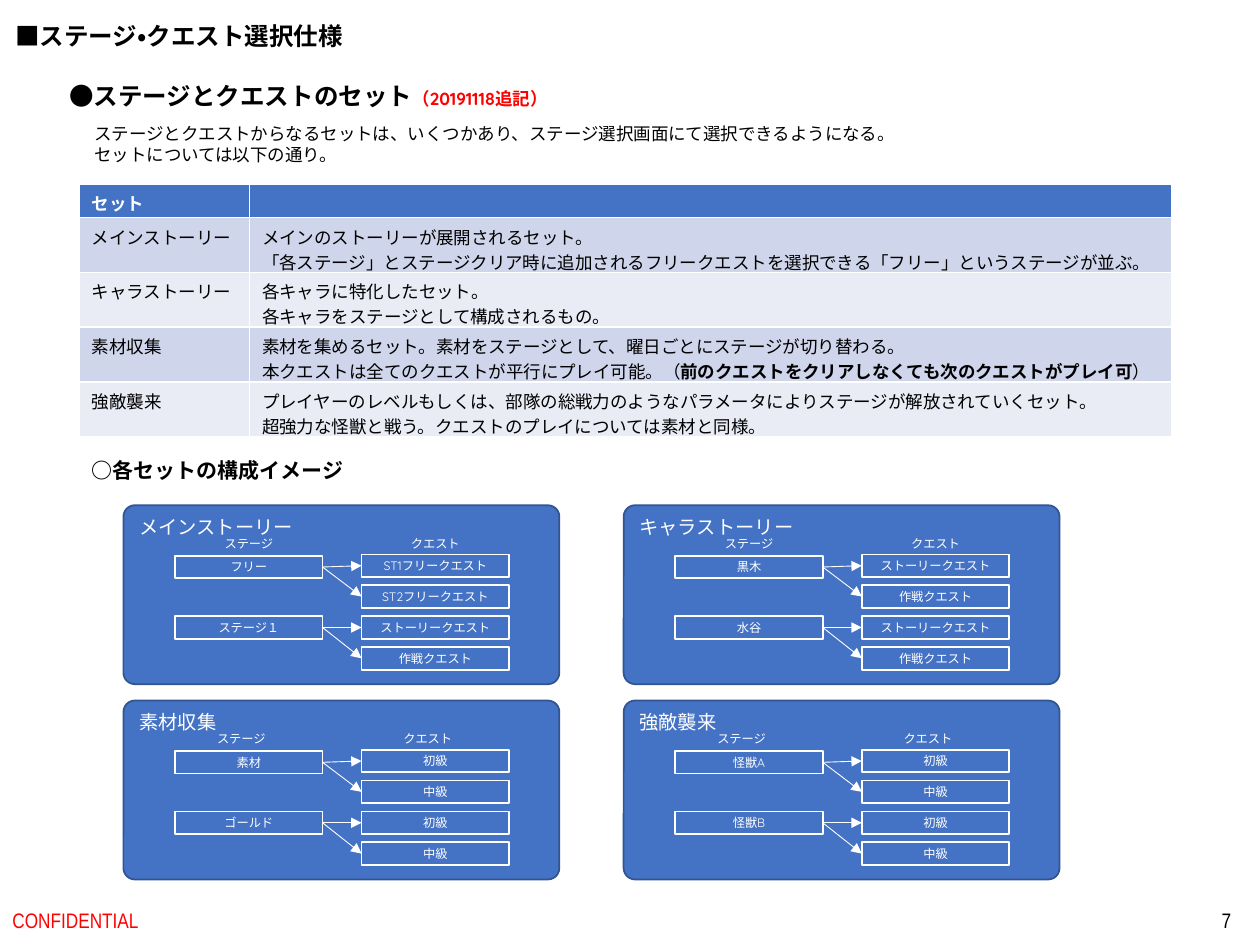
from lxml import etree
from pptx import Presentation
from pptx.dml.color import RGBColor
from pptx.enum.lang import MSO_LANGUAGE_ID
from pptx.enum.shapes import MSO_CONNECTOR, MSO_SHAPE
from pptx.enum.text import MSO_ANCHOR, MSO_AUTO_SIZE, PP_ALIGN
from pptx.oxml.ns import qn
from pptx.util import Inches, Pt

JAPANESE = MSO_LANGUAGE_ID.JAPANESE
STRAIGHT = MSO_CONNECTOR.STRAIGHT
RECTANGLE, ROUNDED = MSO_SHAPE.RECTANGLE, MSO_SHAPE.ROUNDED_RECTANGLE
TOP, MIDDLE = MSO_ANCHOR.TOP, MSO_ANCHOR.MIDDLE
FIT_SHAPE = MSO_AUTO_SIZE.SHAPE_TO_FIT_TEXT
LEFT, CENTER, RIGHT = PP_ALIGN.LEFT, PP_ALIGN.CENTER, PP_ALIGN.RIGHT
LEFT_SITE, RIGHT_SITE = 1, 3


class Theme:
    black = RGBColor(0x00, 0x00, 0x00)
    white = RGBColor(0xFF, 0xFF, 0xFF)
    red = RGBColor(0xFF, 0x00, 0x00)
    blue = RGBColor(0x44, 0x72, 0xC4)
    outline = RGBColor(0x32, 0x54, 0x91)
    bands = (RGBColor(0xCF, 0xD5, 0xEA), RGBColor(0xE9, 0xEB, 0xF5))
    body_font, title_font, footer_font = "Quicksand", "Arial", "Arial Narrow"
    title, subtitle, panel, body, label, footer = 14, 12, 11, 10, 7, 12


def style_run(run, size, color, bold=False, font=Theme.body_font):
    run.font.name = font
    run.font.size = Pt(size)
    run.font.bold = bold
    run.font.color.rgb = color
    run.font.language_id = JAPANESE


def write(frame, text, size, color=Theme.black, bold=False,
          font=Theme.body_font, align=LEFT, anchor=TOP):
    frame.text = text
    frame.vertical_anchor = anchor
    for paragraph in frame.paragraphs:
        paragraph.alignment = align
        for run in paragraph.runs:
            style_run(run, size, color, bold, font)


presentation = Presentation()
presentation.slide_width, presentation.slide_height = Inches(10), Inches(7.5)
slide = presentation.slides.add_slide(presentation.slide_layouts[5])

# Title
title = slide.shapes.title
title.left, title.top = Inches(0.02), Inches(0.12)
title.width, title.height = Inches(2.95), Inches(0.34)
write(title.text_frame, "■ステージ・クエスト選択仕様", Theme.title, bold=True,
      font=Theme.title_font)
title.text_frame.word_wrap = False
title.text_frame.auto_size = FIT_SHAPE

# Headings and introduction
headings = [
    (0.45, 0.59, 4.27, 0.34, "●ステージとクエストのセット", Theme.title, True),
    (0.65, 0.93, 6.65, 0.44,
     "ステージとクエストからなるセットは、いくつかあり、ステージ選択画面にて選択できるようになる。\n"
     "セットについては以下の通り。", Theme.body, False),
    (0.63, 3.58, 2.22, 0.3, "○各セットの構成イメージ", Theme.subtitle, True),
]
heading_frames = []
for left, top, width, height, text, size, bold in headings:
    box = slide.shapes.add_textbox(Inches(left), Inches(top), Inches(width), Inches(height))
    write(box.text_frame, text, size, bold=bold)
    box.text_frame.word_wrap = False
    box.text_frame.auto_size = FIT_SHAPE
    heading_frames.append(box.text_frame)
revision = heading_frames[0].paragraphs[0].add_run()
revision.text = "（20191118追記）"
style_run(revision, Theme.body, Theme.red, True)

# Footer
for left, width, text, color, align in [
    (0, 3.38, "CONFIDENTIAL", Theme.red, LEFT),
    (7.62, 2.25, "7", Theme.black, RIGHT),
]:
    box = slide.shapes.add_textbox(Inches(left), Inches(7.1), Inches(width), Inches(0.4))
    box.text_frame.word_wrap = True
    write(box.text_frame, text, Theme.footer, color, font=Theme.footer_font,
          align=align, anchor=MIDDLE)

# Table of sets
set_rows = [
    ("セット", ""),
    ("メインストーリー",
     "メインのストーリーが展開されるセット。\n"
     "「各ステージ」とステージクリア時に追加されるフリークエストを選択できる「フリー」というステージが並ぶ。"),
    ("キャラストーリー",
     "各キャラに特化したセット。\n各キャラをステージとして構成されるもの。"),
    ("素材収集",
     "素材を集めるセット。素材をステージとして、曜日ごとにステージが切り替わる。\n"
     "本クエストは全てのクエストが平行にプレイ可能。（"),
    ("強敵襲来",
     "プレイヤーのレベルもしくは、部隊の総戦力のようなパラメータによりステージが解放されていくセット。\n"
     "超強力な怪獣と戦う。クエストのプレイについては素材と同様。"),
]
table = slide.shapes.add_table(len(set_rows), 2, Inches(0.63), Inches(1.46),
                               Inches(8.67), Inches(2)).table
table.columns[0].width, table.columns[1].width = Inches(1.35), Inches(7.32)
for row_index, texts in enumerate(set_rows):
    is_header = row_index == 0
    table.rows[row_index].height = Inches(0.26 if is_header else 0.43)
    for column_index, text in enumerate(texts):
        cell = table.cell(row_index, column_index)
        cell.fill.solid()
        cell.fill.fore_color.rgb = Theme.blue if is_header else Theme.bands[(row_index - 1) % 2]
        write(cell.text_frame, text, Theme.body,
              Theme.white if is_header else Theme.black, is_header)
        # An empty cell also needs the small size, or its row grows
        cell.text_frame.paragraphs[0].font.size = Pt(Theme.body)
material_note = table.cell(3, 1).text_frame.paragraphs[1]
for text, bold in [("前のクエストをクリアしなくても次のクエストがプレイ可", True), ("）", False)]:
    run = material_note.add_run()
    run.text = text
    style_run(run, Theme.body, Theme.black, bold)

# Set panels: each stage leads to two quests
panels = [
    ("メインストーリー", [("フリー", ["ST1フリークエスト", "ST2フリークエスト"]),
                  ("ステージ１", ["ストーリークエスト", "作戦クエスト"])]),
    ("キャラストーリー", [("黒木", ["ストーリークエスト", "作戦クエスト"]),
                  ("水谷", ["ストーリークエスト", "作戦クエスト"])]),
    ("素材収集", [("素材", ["初級", "中級"]), ("ゴールド", ["初級", "中級"])]),
    ("強敵襲来", [("怪獣A", ["初級", "中級"]), ("怪獣B", ["初級", "中級"])]),
]
box_width, box_height = Inches(1.17), Inches(0.18)
for panel_index, (name, stages) in enumerate(panels):
    grid_row, grid_column = divmod(panel_index, 2)
    left = Inches(0.98 + 3.97 * grid_column)
    top = Inches(4.01 + 1.55 * grid_row)
    stage_left, quest_left = left + Inches(0.41), left + Inches(1.89)
    shapes = slide.shapes.add_group_shape().shapes

    panel = shapes.add_shape(ROUNDED, left, top, Inches(3.46), Inches(1.42))
    panel.adjustments[0] = 0.064
    write(panel.text_frame, name, Theme.panel, Theme.white)

    # Stage and quest boxes
    boxes = []
    links = []
    for stage_index, (stage_name, quests) in enumerate(stages):
        stage = shapes.add_shape(RECTANGLE, stage_left, top + Inches(0.4 + 0.48 * stage_index),
                                 box_width, box_height)
        boxes.append((stage, stage_name))
        for quest_index, quest_name in enumerate(quests, 2 * stage_index):
            quest = shapes.add_shape(RECTANGLE, quest_left,
                                     top + Inches(0.39) + quest_index * Inches(0.49) // 2,
                                     box_width, box_height)
            boxes.append((quest, quest_name))
            links.append((stage, quest))
    for box, text in boxes:
        write(box.text_frame, text, Theme.label, Theme.white, align=CENTER, anchor=MIDDLE)
    for shape in [panel] + [box for box, text in boxes]:
        shape.shadow.inherit = False
        shape.fill.solid()
        shape.fill.fore_color.rgb = Theme.blue
        shape.line.color.rgb = Theme.outline if shape is panel else Theme.white
        shape.line.width = Pt(1)

    # Arrows from stage to quest
    for stage, quest in links:
        arrow = shapes.add_connector(STRAIGHT, 0, 0, 0, 0)
        arrow.begin_connect(stage, RIGHT_SITE)
        arrow.end_connect(quest, LEFT_SITE)
        arrow.line.color.rgb = Theme.white
        arrow.line.width = Pt(0.5)
        etree.SubElement(arrow.line._get_or_add_ln(), qn("a:tailEnd"), type="triangle")
        etree.SubElement(arrow._element.spPr, qn("a:effectLst"))

    # Column labels sit slightly further left in the lower row
    label_shift = Inches(0.06 * grid_row)
    for column_left, text in [(stage_left, "ステージ"), (quest_left, "クエスト")]:
        label = shapes.add_textbox(column_left - label_shift, top + Inches(0.21),
                                   box_width, box_height)
        label.text_frame.word_wrap = True
        write(label.text_frame, text, Theme.label, Theme.white, align=CENTER, anchor=MIDDLE)

presentation.save("out.pptx")
